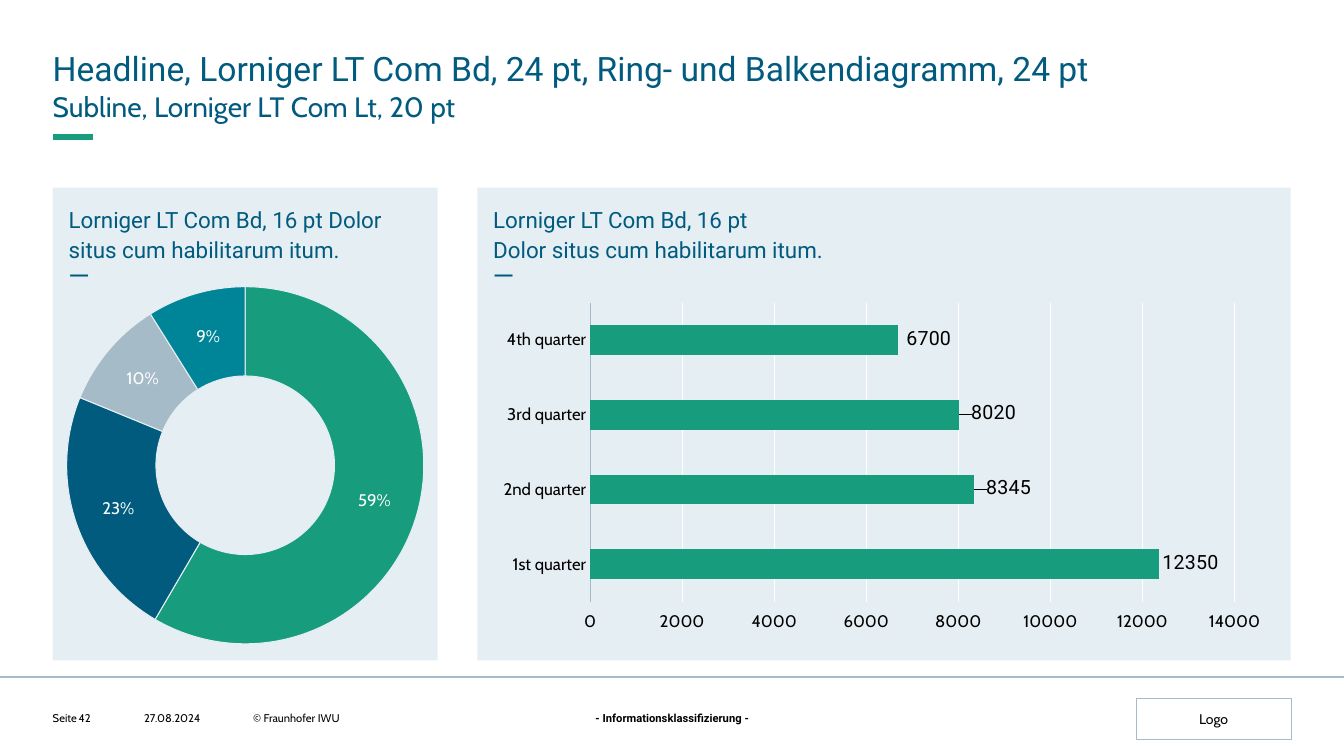
from copy import deepcopy

from pptx import Presentation
from pptx.chart.data import CategoryChartData
from pptx.dml.color import RGBColor
from pptx.enum.chart import XL_CHART_TYPE as Kind, XL_LABEL_POSITION as Spot, XL_TICK_MARK as Tick
from pptx.enum.shapes import MSO_CONNECTOR as Link, MSO_SHAPE as Preset
from pptx.enum.text import MSO_ANCHOR as Anchor, PP_ALIGN as Align
from pptx.oxml import parse_xml
from pptx.oxml.ns import nsdecls, qn
from pptx.util import Cm, Pt

COLORS = {
    "green": "179C7D", "blue": "005B7F", "steel": "A6BBC8", "teal": "008598",
    "panel": "E5EEF2", "white": "FFFFFF", "black": "000000",
}
BODY, HEAD, DASH = "Cabin", "Roboto", "Karla"


def color(name):
    return RGBColor.from_string(COLORS[name])


def set_font(font, size, name=BODY, tone="black", bold=False):
    font.size, font.name, font.bold = Pt(size), name, bold
    font.color.rgb = color(tone)


def write(paragraph, text, size=8, name=BODY, tone="black", bold=False,
          align=Align.LEFT, spacing=1.0):
    paragraph.text = text
    paragraph.alignment = align
    paragraph.line_spacing = spacing
    for run in paragraph.runs:
        set_font(run.font, size, name, tone, bold)
    for line_break in paragraph._p.findall(qn("a:br")):
        line_break.append(deepcopy(paragraph.runs[0]._r.rPr))


def manual_layout(**settings):
    parts = "".join(f'<c:{tag} val="{value}"/>' for tag, value in settings.items())
    return parse_xml(f'<c:layout {nsdecls("c")}><c:manualLayout>{parts}'
                     '</c:manualLayout></c:layout>')


class ReportSlide:
    def __init__(self, deck):
        self.shapes = deck.slides.add_slide(deck.slide_layouts[6]).shapes

    def prepare(self, frame, inset=0, anchor=Anchor.TOP, wrap=True):
        frame.margin_left = frame.margin_right = Cm(inset)
        frame.margin_top = frame.margin_bottom = Cm(inset)
        frame.vertical_anchor, frame.word_wrap = anchor, wrap
        return frame.paragraphs[0]

    def rule(self, left, right, top, tone, width):
        line = self.shapes.add_connector(Link.STRAIGHT, Cm(left), Cm(top), Cm(right), Cm(top))
        line.line.color.rgb, line.line.width = color(tone), Pt(width)
        line._element.spPr.append(parse_xml(f'<a:effectLst {nsdecls("a")}/>'))

    def text(self, left, top, width, height, content, wrap=True, anchor=Anchor.TOP, **style):
        box = self.shapes.add_textbox(Cm(left), Cm(top), Cm(width), Cm(height))
        write(self.prepare(box.text_frame, anchor=anchor, wrap=wrap), content, **style)

    def rectangle(self, left, top, width, height, fill, outline=None):
        block = self.shapes.add_shape(Preset.RECTANGLE, Cm(left), Cm(top), Cm(width), Cm(height))
        block.shadow.inherit = False
        block.fill.solid()
        block.fill.fore_color.rgb = color(fill)
        if outline:
            block.line.color.rgb, block.line.width = color(outline), Pt(0.75)
        else:
            block.line.fill.background()
        return block.text_frame

    def panel(self, left, width, heading):
        frame = self.rectangle(left, 4.73, width, 11.91, "panel")
        write(self.prepare(frame, inset=0.4), heading, size=16, name=HEAD, tone="blue", spacing=1.1)
        write(frame.add_paragraph(), "—", size=20.8, name=DASH, tone="blue", spacing=Pt(19.6))

    def chart(self, kind, left, top, width, height, categories, values):
        data = CategoryChartData()
        data.categories = categories
        data.add_series("Series 1", values)
        chart = self.shapes.add_chart(kind, Cm(left), Cm(top), Cm(width), Cm(height), data).chart
        chart.has_title = chart.has_legend = False
        set_font(chart.font, 10)
        return chart

    def ring(self, left, top, width, height, shares, tones):
        chart = self.chart(Kind.DOUGHNUT, left, top, width, height,
                           [str(n + 1) for n in range(len(shares))], shares)
        plot = chart.plots[0]
        plot.has_data_labels = True
        labels = plot.data_labels
        labels.show_value, labels.show_percentage = True, False
        labels.number_format, labels.number_format_is_linked = '0"%"', False
        set_font(labels.font, 12, tone="white")
        for index, tone in enumerate(tones):
            slice_format = plot.series[0].points[index].format
            slice_format.fill.solid()
            slice_format.fill.fore_color.rgb = color(tone)
            slice_format.line.color.rgb = color("panel")
            slice_format.line.width = Pt(0.75)

    def bars(self, left, top, width, height, quarters, label_shifts):
        chart = self.chart(Kind.BAR_CLUSTERED, left, top, width, height,
                           list(quarters), list(quarters.values()))
        plot = chart.plots[0]
        plot.vary_by_categories, plot.gap_width = False, 150
        series = plot.series[0]
        series.format.fill.solid()
        series.format.fill.fore_color.rgb = color("green")

        series.data_labels.show_value = True
        series.data_labels.position = Spot.OUTSIDE_END
        set_font(series.data_labels.font, 14, HEAD)
        for index, shift in enumerate(label_shifts):
            label = series.points[index].data_label
            label.position = Spot.OUTSIDE_END
            set_font(label.font, 14, HEAD)
            label._get_or_add_dLbl().insert(1, manual_layout(x=shift, y=-0.005))

        quarter_axis, amount_axis = chart.category_axis, chart.value_axis
        for axis, mark in ((quarter_axis, Tick.NONE), (amount_axis, Tick.OUTSIDE)):
            axis.major_tick_mark, axis.minor_tick_mark = mark, Tick.NONE
            set_font(axis.tick_labels.font, 12)
        quarter_axis.format.line.color.rgb = color("steel")
        quarter_axis.format.line.width = Pt(0.75)
        amount_axis.minimum_scale, amount_axis.maximum_scale = 0, 14000
        amount_axis.major_unit = 2000
        amount_axis.format.line.fill.background()
        amount_axis.has_major_gridlines = True
        grid = amount_axis.major_gridlines.format.line
        grid.color.rgb, grid.width = color("white"), Pt(0.75)

        area = chart._chartSpace.chart.plotArea
        for old in area.findall(qn("c:layout")):
            area.remove(old)
        area.insert(0, manual_layout(layoutTarget="inner", xMode="edge", yMode="edge",
                                     x=0.14, y=0.05, w=0.8, h=0.86))


def main():
    deck = Presentation()
    deck.slide_width, deck.slide_height = Cm(33.87), Cm(19.05)
    page = ReportSlide(deck)
    margin, right_panel = 1.33, 12.03

    page.rule(margin, 2.34, 3.45, "green", 4)
    page.rule(0, 33.87, 17.07, "steel", 1.5)
    page.text(margin, 1.1, 31.2, 1.07,
              "Headline, Lorniger LT Com Bd, 24 pt, Ring- und Balkendiagramm, 24 pt",
              size=24, name=HEAD, tone="blue", spacing=1.1)
    page.text(margin, 2.16, 31.2, 0.9, "Subline, Lorniger LT Com Lt, 20 pt",
              size=20, tone="blue", spacing=1.1)

    page.panel(margin, 9.7, "Lorniger LT Com Bd, 16 pt Dolor situs cum habilitarum itum.")
    page.panel(right_panel, 20.5,
               "Lorniger LT Com Bd, 16 pt\vDolor situs cum habilitarum itum.")
    page.ring(margin, 6.81, 9.7, 9.83, [59, 23, 10, 9], ["green", "blue", "steel", "teal"])
    page.bars(right_panel, 7.19, 20.3, 8.76,
              {"1st quarter": 12350, "2nd quarter": 8345,
               "3rd quarter": 8020, "4th quarter": 6700},
              [0, 0.01, 0.01, 0.005])

    footer = (
        (margin, 0.64, "Seite"),
        (1.98, 1.14, "42"),
        (3.63, 2.39, "27.08.2024"),
        (6.38, 8.2, "© Fraunhofer IWU"),
    )
    for left, width, content in footer:
        page.text(left, 17.93, width, 0.33, content, wrap=False, anchor=Anchor.MIDDLE)
    page.text(14.94, 17.93, 4.01, 0.33, "- Informationsklassifizierung -",
              wrap=False, name=HEAD, bold=True, align=Align.CENTER)
    logo = page.rectangle(28.63, 17.6, 3.91, 1.04, "white", outline="steel")
    write(page.prepare(logo, inset=0.3, anchor=Anchor.MIDDLE), "Logo", size=10, align=Align.CENTER)

    deck.save("out.pptx")


if __name__ == "__main__":
    main()
